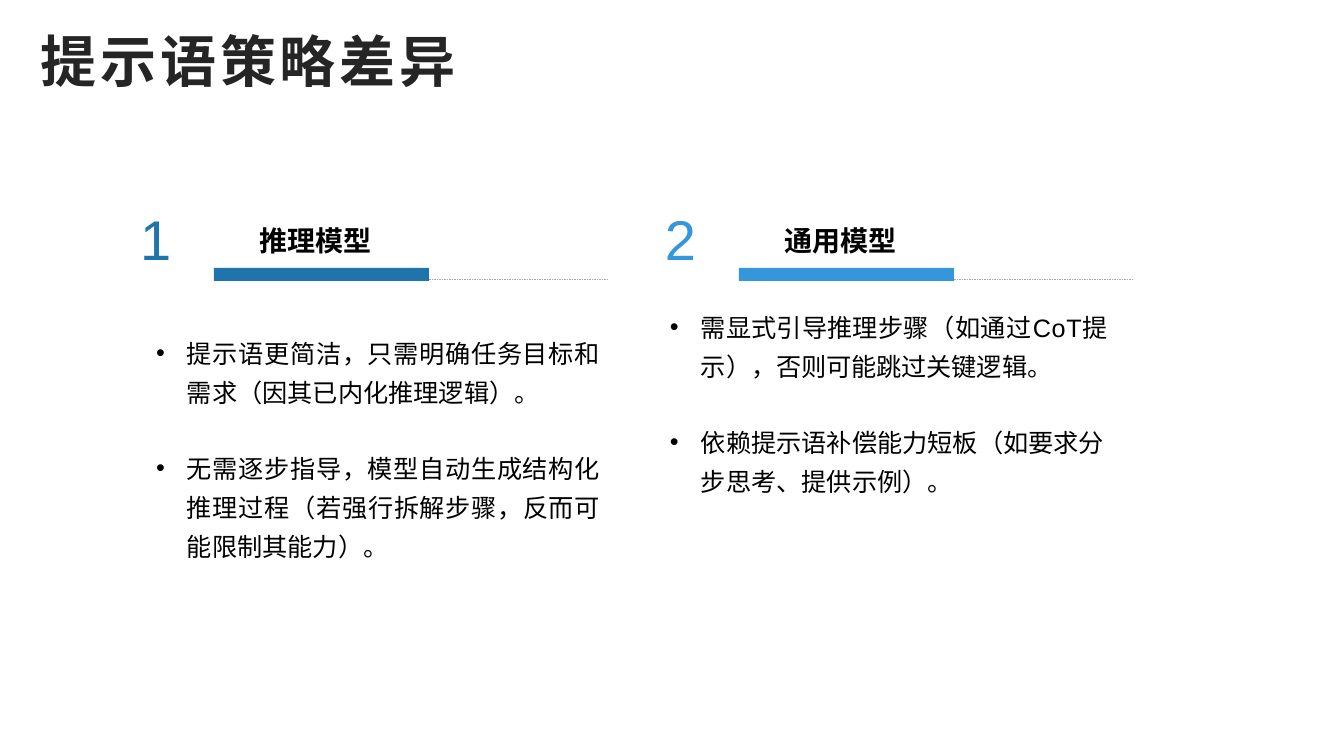
from lxml import etree
from pptx import Presentation
from pptx.dml.color import RGBColor
from pptx.enum.dml import MSO_LINE
from pptx.enum.shapes import MSO_CONNECTOR, MSO_SHAPE
from pptx.enum.text import PP_ALIGN
from pptx.oxml.ns import qn
from pptx.util import Emu, Pt

LATIN_FONT = "Arial"
HEADING_FONT = "Noto Sans CJK TC"
BODY_FONT = "Noto Sans CJK SC"
PANEL_TOP = 204

# Each bullet is a list of (text, letter spacing in points).
PANELS = [
    {
        "number": "1", "heading": "推理模型", "color": "1F74AC", "left": 140,
        "bullet_left": 154, "bullet_top": 328, "align": PP_ALIGN.JUSTIFY,
        "bullets": [
            [("提示语更简洁，只需明确任务目标和", -0.1),
             ("需求（因其已内化推理逻辑）。", 0)],
            [("无需逐步指导，模型自动生成结构化", -0.1),
             ("推理过程（", 0), ("若强行拆解步骤，反而可", -0.1),
             ("能限制其能力）。", 0)],
        ],
    },
    {
        "number": "2", "heading": "通用模型", "color": "3497DB", "left": 665,
        "bullet_left": 668, "bullet_top": 302, "align": PP_ALIGN.LEFT,
        "bullets": [
            [("需显式引导推理步骤", 0.1), ("（如通过CoT", 0.5),
             ("提示），", 0), ("否则可能跳过关键逻辑。", -0.1)],
            [("依赖提示语补偿能力短板（", 0), ("如要求分", -0.1),
             ("步思考、提供示例）。", 0)],
        ],
    },
]


def px(length):
    return Emu(round(length * 914400 / 100.8))


def rgb(value):
    return RGBColor.from_string(value)


def add_text_frame(slide, left, top, width, height):
    box = slide.shapes.add_textbox(px(left), px(top), px(width), px(height))
    frame = box.text_frame
    margins = {"margin_left": 0, "margin_right": 0, "margin_bottom": 0,
               "margin_top": px(1), "word_wrap": True}
    for name, value in margins.items():
        setattr(frame, name, value)
    return frame


def add_run(paragraph, text, size, color="000000", asian_font=BODY_FONT,
            bold=False, spacing=0):
    run = paragraph.add_run()
    run.text = text
    style = {"size": Pt(size), "bold": bold, "name": LATIN_FONT}
    for name, value in style.items():
        setattr(run.font, name, value)
    run.font.color.rgb = rgb(color)
    properties = run._r.get_or_add_rPr()
    properties.set("spc", str(round(spacing * 100)))
    asian = etree.Element(qn("a:ea"), typeface=asian_font)
    properties.find(qn("a:latin")).addnext(asian)


def add_label(slide, box, text, size, **style):
    """Place a single line of text."""
    paragraph = add_text_frame(slide, *box).paragraphs[0]
    add_run(paragraph, text, size, **style)


def add_bullets(slide, box, bullets, align):
    frame = add_text_frame(slide, *box)
    for index, runs in enumerate(bullets):
        paragraph = frame.add_paragraph() if index else frame.paragraphs[0]
        properties = paragraph._p.get_or_add_pPr()
        properties.set("marL", str(px(33)))
        properties.set("indent", str(-px(31)))
        etree.SubElement(properties, qn("a:buFont"), typeface=LATIN_FONT)
        etree.SubElement(properties, qn("a:buChar"), char="•")
        layout = {"alignment": align, "line_spacing": 1.3,
                  "space_before": Pt(26 if index else 0)}
        for name, value in layout.items():
            setattr(paragraph, name, value)
        for text, spacing in runs:
            add_run(paragraph, text, 18, spacing=spacing)


def add_rule(slide, left, top, color):
    """Draw the solid bar and the dotted line that continues it."""
    line = slide.shapes.add_connector(
        MSO_CONNECTOR.STRAIGHT,
        px(left + 123), px(top + 11), px(left + 394), px(top + 11))
    line.line.color.rgb = rgb("A6A6A6")
    line.line.width = Pt(0.6)
    line.line.dash_style = MSO_LINE.ROUND_DOT
    etree.SubElement(line._element.spPr, qn("a:effectLst"))

    bar = slide.shapes.add_shape(
        MSO_SHAPE.RECTANGLE, px(left), px(top), px(215), px(13))
    bar.shadow.inherit = False
    bar.fill.solid()
    bar.fill.fore_color.rgb = rgb(color)
    bar.line.fill.background()


def add_panel(slide, panel, top):
    left, color = panel["left"], panel["color"]
    add_rule(slide, left + 74, top + 64, color)
    add_label(slide, (left, top, 34, 70), panel["number"], 40,
              color=color, spacing=-0.1)
    add_label(slide, (left + 120, top + 18, 130, 36), panel["heading"], 20,
              asian_font=HEADING_FONT, bold=True, spacing=-0.1)
    add_bullets(slide, (panel["bullet_left"], panel["bullet_top"], 446, 239),
                panel["bullets"], panel["align"])


def main():
    presentation = Presentation()
    presentation.slide_width = px(1344)
    presentation.slide_height = px(756)
    slide = presentation.slides.add_slide(presentation.slide_layouts[6])
    add_label(slide, (41, 26, 460, 70), "提示语策略差异", 40, color="252525",
              asian_font=HEADING_FONT, bold=True, spacing=2.7)
    for panel in PANELS:
        add_panel(slide, panel, PANEL_TOP)
    presentation.save("out.pptx")


if __name__ == "__main__":
    main()
